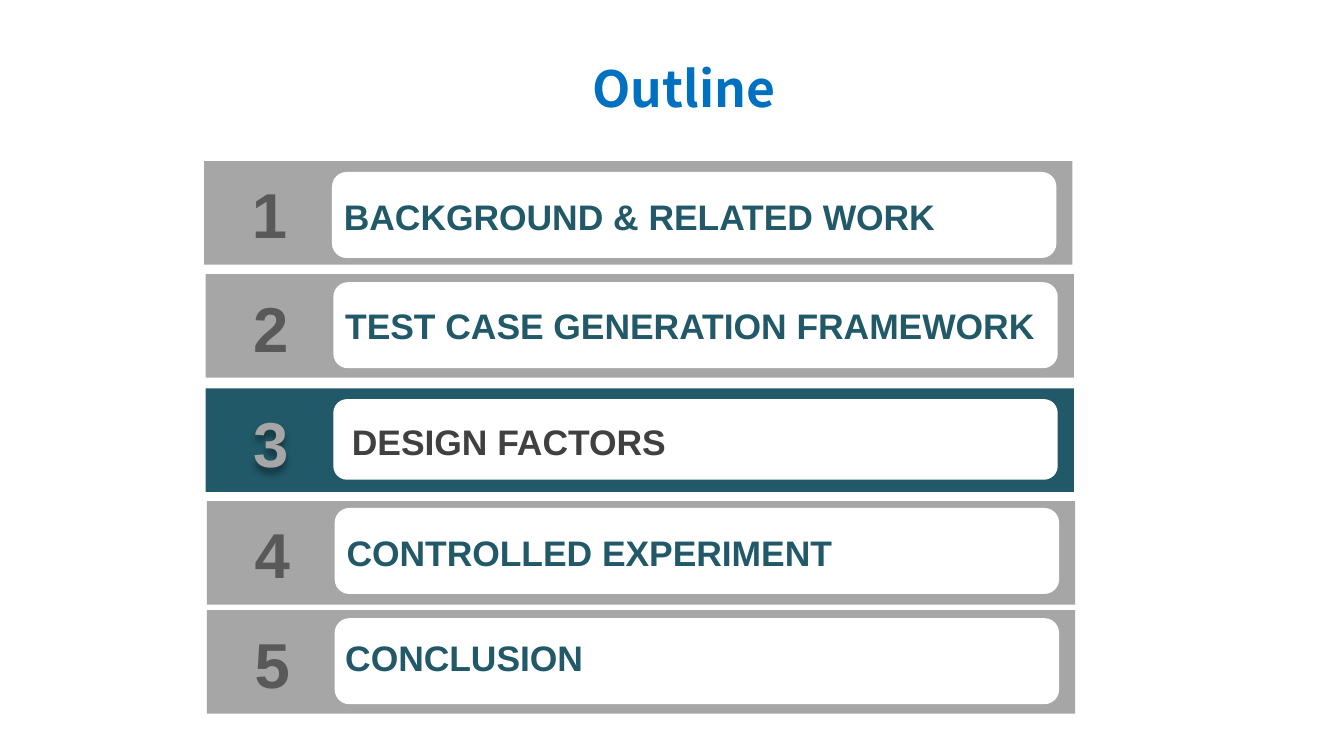
from lxml import etree
from pptx import Presentation
from pptx.dml.color import RGBColor
from pptx.enum import shapes, text
from pptx.oxml.ns import qn
from pptx.util import Inches, Pt

GREY, TEAL, DARK, MID = "A6A6A6", "215968", "404040", "595959"


def box(parent, x, y, w, h, fill, radius):
    sp = parent.add_shape(shapes.MSO_SHAPE.ROUNDED_RECTANGLE,
                          Inches(x), Inches(y), Inches(w), Inches(h))
    sp.adjustments[0] = radius
    sp.shadow.inherit = False
    sp.fill.solid()
    sp.fill.fore_color.rgb = RGBColor.from_string(fill)
    sp.line.fill.background()


def label(parent, x, y, w, h, words, size, color,
          font="Arial", align=text.PP_ALIGN.LEFT):
    sp = parent.add_textbox(Inches(x), Inches(y), Inches(w), Inches(h))
    tf = sp.text_frame
    tf.word_wrap = True
    p = tf.paragraphs[0]
    p.text = words
    p.alignment = align
    p.font.size = Pt(size)
    p.font.bold = True
    p.font.name = font
    p.font.color.rgb = RGBColor.from_string(color)
    return sp


# 16:9 slide
prs = Presentation()
prs.slide_width = Inches(10)
prs.slide_height = Inches(10 * 9 / 16)
s = prs.slides.add_slide(prs.slide_layouts[6])

# Title
label(s.shapes, 4.22, 0.38, 1.74, 0.55, "Outline", 26.7, "0070C0",
      "Noto Sans CJK SC", text.PP_ALIGN.CENTER)

# Agenda rows: bar left and top, panel top and height,
# number top and height, label left, top and width
rows = [
    ("BACKGROUND & RELATED WORK", 1.52, 1.2, 1.28, 0.64, 1.25, 0.62, 2.46, 1.4, 5.01),
    ("TEST CASE GENERATION FRAMEWORK", 1.53, 2.04, 2.1, 0.64, 2.1, 0.67, 2.47, 2.21, 5.65),
    ("DESIGN FACTORS", 1.53, 2.89, 2.97, 0.6, 2.96, 0.67, 2.52, 3.08, 5.69),
    ("CONTROLLED EXPERIMENT", 1.54, 3.73, 3.78, 0.64, 3.78, 0.67, 2.48, 3.9, 5.01),
    ("CONCLUSION", 1.54, 4.54, 4.6, 0.64, 4.6, 0.67, 2.47, 4.68, 5.01),
]
current = 3

for n, row in enumerate(rows, 1):
    words, x, y, panel_y, panel_h, num_y, num_h, label_x, label_y, label_w = row
    active = n == current
    grp = s.shapes.add_group_shape().shapes
    box(grp, x, y, 6.46, 0.77, TEAL if active else GREY, 0)
    box(grp, x + 0.95, panel_y, 5.39, panel_h, "FFFFFF", 0.17)
    number = label(grp, x + 0.13, num_y, 0.71, num_h, str(n), 34,
                   GREY if active else MID, align=text.PP_ALIGN.CENTER)
    label(s.shapes, label_x, label_y, label_w, 0.42, words, 19,
          DARK if active else TEAL)

    # Soft shadow under the current number
    if active:
        effects = etree.SubElement(number.element.spPr, qn("a:effectLst"))
        shadow = etree.SubElement(effects, qn("a:outerShdw"), blurRad="50800",
                                  dist="38100", dir="5400000", algn="t")
        black = etree.SubElement(shadow, qn("a:srgbClr"), val="000000")
        etree.SubElement(black, qn("a:alpha"), val="40000")

prs.save("out.pptx")
